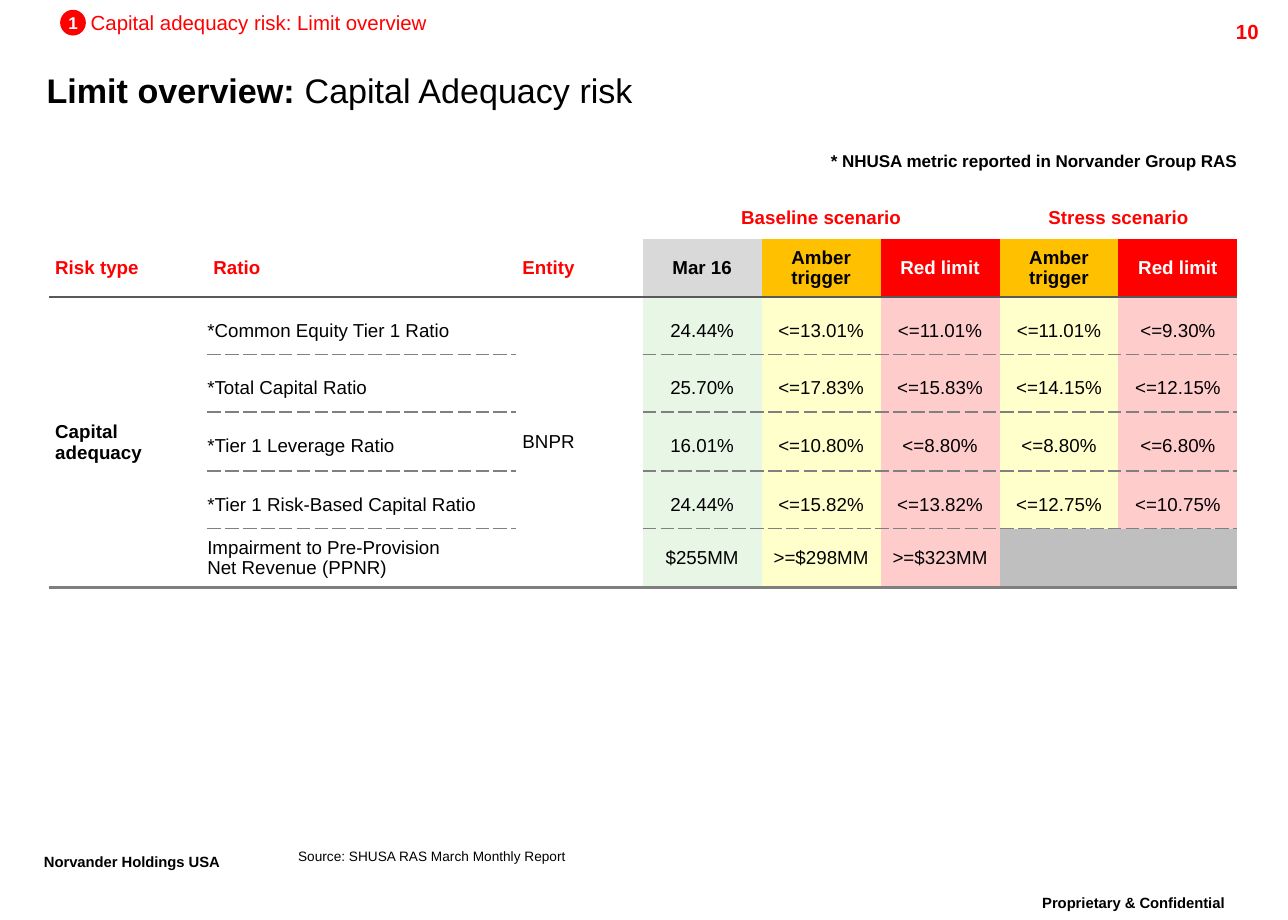
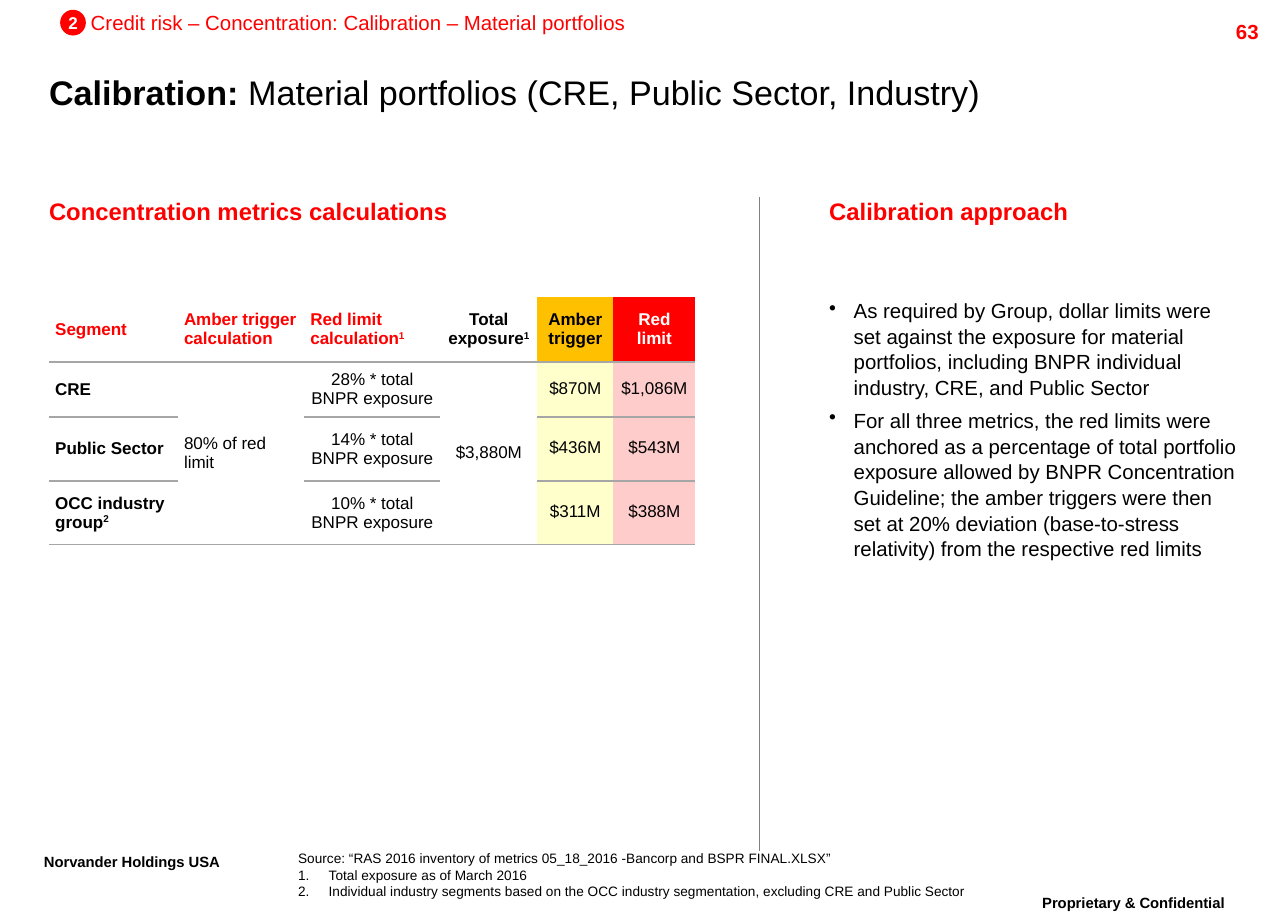
from dataclasses import dataclass, replace

from lxml import etree
from pptx import Presentation
from pptx.dml.color import RGBColor
from pptx.enum.shapes import MSO_CONNECTOR as Connector, MSO_SHAPE as Preset
from pptx.enum.text import MSO_ANCHOR as Anchor, MSO_AUTO_SIZE as AutoSize, PP_ALIGN as Align
from pptx.oxml.ns import qn
from pptx.util import Pt

PX = 9144
FONT = "Arial"
BLACK, WHITE, RED, AMBER = "000000", "FFFFFF", "FF0000", "FFC000"
PALE_GREEN, PALE_YELLOW, PALE_RED = "E8F6E6", "FFFFCC", "FFCCCC"
LIGHT_GREY, MID_GREY, RULE_GREY = "D9D9D9", "BFBFBF", "7F7F7F"
NO_STYLE = "{2D5ABB26-0587-4C30-8999-92F81FD0307C}"
FLUSH = (0, 0, 0, 0)
BOX_INSETS = (10, 5, 10, 5)


@dataclass(frozen=True)
class Cell:
    """Content and look of one table cell."""
    text: str = ""
    raised: str = ""
    fill: str = None
    color: str = BLACK
    bold: bool = False
    align: Align = Align.LEFT
    insets: tuple = (5, 5, 5, 5)
    pitch: Pt = None


@dataclass(frozen=True)
class Rule:
    """A horizontal line between table rows."""
    color: str
    width: float
    dash: str = "solid"


def rgb(value):
    """Turn a hex string into a colour."""
    return RGBColor.from_string(value)


def lengths(*values):
    """Turn px values into EMU."""
    return [value * PX for value in values]


def add_span(para, text, size, color=BLACK, bold=False, raise_by=0):
    """Add one formatted run to a paragraph."""
    span = para.add_run()
    span.text = text
    font = span.font
    font.name, font.size, font.bold = FONT, Pt(size), bold
    font.color.rgb = rgb(color)
    if raise_by:
        span._r.get_or_add_rPr().set("baseline", str(raise_by * 1000))


def set_frame(frame, insets=FLUSH, anchor=Anchor.TOP):
    """Set wrapping, insets and anchor of a text frame."""
    frame.word_wrap = True
    frame.auto_size = AutoSize.NONE
    frame.vertical_anchor = anchor
    (frame.margin_left, frame.margin_top,
     frame.margin_right, frame.margin_bottom) = lengths(*insets)


def add_text(page, box, text, size, color=BLACK, bold=False, align=Align.LEFT,
             insets=FLUSH, anchor=Anchor.TOP, spacing=None, raise_by=0):
    """Add a one-paragraph text box and return its frame."""
    frame = page.shapes.add_textbox(*lengths(*box)).text_frame
    set_frame(frame, insets, anchor)
    para = frame.paragraphs[0]
    para.alignment, para.line_spacing = align, spacing
    add_span(para, text, size, color, bold, raise_by)
    return frame


def set_bullet(para, indent, tag, **attributes):
    """Give a paragraph a hanging bullet or number."""
    properties = para._p.get_or_add_pPr()
    properties.set("marL", str(indent * PX))
    properties.set("indent", str(-indent * PX))
    etree.SubElement(properties, qn(tag), **attributes)


def add_bullets(page, box, items, size):
    """Add a bulleted list."""
    frame = page.shapes.add_textbox(*lengths(*box)).text_frame
    set_frame(frame)
    for index, item in enumerate(items):
        para = frame.add_paragraph() if index else frame.paragraphs[0]
        set_bullet(para, 20, "a:buChar", char="•")
        para.line_spacing = 1.05
        if index:
            para.space_before = Pt(4)
        add_span(para, item, size)


def add_source(page, box, source, notes=(), spacing=None):
    """Add the source line with its numbered notes."""
    frame = add_text(page, box, source, 8, anchor=Anchor.BOTTOM, spacing=spacing)
    for note in notes:
        para = frame.add_paragraph()
        set_bullet(para, 25, "a:buAutoNum", type="arabicPeriod")
        add_span(para, note, 8)


def add_divider(page, x, top, bottom):
    """Add a vertical grey line."""
    line = page.shapes.add_connector(Connector.STRAIGHT, *lengths(x, top, x, bottom))
    line.line.color.rgb = rgb(RULE_GREY)
    line.line.width = Pt(0.75)
    etree.SubElement(line._element.spPr, qn("a:effectLst"))


def add_badge(page, box, number):
    """Add a red numbered circle."""
    badge = page.shapes.add_shape(Preset.OVAL, *lengths(*box))
    badge.shadow.inherit = False
    badge.fill.solid()
    badge.fill.fore_color.rgb = rgb(RED)
    badge.line.fill.background()
    set_frame(badge.text_frame, anchor=Anchor.MIDDLE)
    badge.text_frame.word_wrap = False
    para = badge.text_frame.paragraphs[0]
    para.alignment = Align.CENTER
    add_span(para, number, 10, WHITE, True)


def set_border(cell, position, tag, rule):
    """Draw a rule along one side of a cell."""
    line = etree.Element(qn(tag), w=str(Pt(rule.width) if rule else 0))
    if rule:
        fill = etree.SubElement(line, qn("a:solidFill"))
        etree.SubElement(fill, qn("a:srgbClr"), val=rule.color)
        etree.SubElement(line, qn("a:prstDash"), val=rule.dash)
    else:
        etree.SubElement(line, qn("a:noFill"))
    cell._tc.get_or_add_tcPr().insert(position, line)


def fill_cell(cell, look, size):
    """Write and format one table cell."""
    cell.vertical_anchor = Anchor.MIDDLE
    (cell.margin_left, cell.margin_top,
     cell.margin_right, cell.margin_bottom) = lengths(*look.insets)
    if look.fill:
        cell.fill.solid()
        cell.fill.fore_color.rgb = rgb(look.fill)
    else:
        cell.fill.background()
    frame = cell.text_frame
    for index, text in enumerate(look.text.split("\n")):
        para = frame.add_paragraph() if index else frame.paragraphs[0]
        para.alignment, para.line_spacing = look.align, look.pitch
        if text:
            add_span(para, text, size, look.color, look.bold)
        else:
            etree.SubElement(para._p, qn("a:endParaRPr"), sz=str(size * 100))
    if look.raised:
        add_span(para, look.raised, size, look.color, look.bold, 30)


def add_grid(page, corner, widths, heights, looks, merges, rules, size):
    """Add a table whose rules lie above, between and below its rows."""
    frame = page.shapes.add_table(len(heights), len(widths),
                                  *lengths(*corner, sum(widths), sum(heights)))
    table = frame.table
    table.first_row = table.horz_banding = False
    table._tbl.tblPr.find(qn("a:tableStyleId")).text = NO_STYLE
    for column, width in zip(table.columns, widths):
        column.width = width * PX
    for row, height in zip(table.rows, heights):
        row.height = height * PX
    for first, last in merges:
        table.cell(*first).merge(table.cell(*last))
    for r, row in enumerate(looks):
        for c, look in enumerate(row):
            cell = table.cell(r, c)
            fill_cell(cell, look, size)
            depth = cell.span_height if cell.is_merge_origin else 1
            inside = cell.is_spanned and r + 1 < len(heights)
            set_border(cell, 0, "a:lnT", None if cell.is_spanned else rules[r])
            set_border(cell, 1, "a:lnB", None if inside else rules[r + depth])


def add_page(deck, number, badge, section, title_corner, lead, topic):
    """Add a slide with its title, section tag, page number and footers."""
    page = deck.slides.add_slide(deck.slide_layouts[5])
    title = page.shapes.title
    title.left, title.top, title.width, title.height = lengths(*title_corner, 948, 48)
    set_frame(title.text_frame, anchor=Anchor.MIDDLE)
    para = title.text_frame.paragraphs[0]
    para.alignment = Align.LEFT
    add_span(para, lead, 20, bold=True)
    add_span(para, topic, 20)
    footers = (((815, 725, 218, 35), "Proprietary & Confidential", Align.CENTER),
               ((26, 691, 191, 35), "Norvander Holdings USA", Align.LEFT))
    for box, text, align in footers:
        add_text(page, box, text, 15, bold=True, align=align, insets=BOX_INSETS,
                 spacing=0.86, raise_by=30)
    add_text(page, (936, 11, 100, 24), number, 12, RED, True, Align.RIGHT, BOX_INSETS)
    add_text(page, (74, 8, 600, 20), section, 12, RED)
    add_badge(page, (49, 8, 21, 21), badge)
    return page


def build_limits(deck):
    """Build the limit overview slide."""
    page = add_page(deck, "10", "1", "Capital adequacy risk: Limit overview",
                    (38, 49), "Limit overview: ", "Capital Adequacy risk")
    label = Cell(color=RED, bold=True)
    head = Cell(bold=True, align=Align.CENTER)
    scenario = replace(head, color=RED, fill=WHITE)
    amber = replace(head, text="Amber trigger", fill=AMBER)
    red = replace(head, text="Red limit", fill=RED, color=WHITE)
    looks = [
        [Cell()] * 3 + [replace(scenario, text="Baseline scenario")] + [Cell()] * 2
        + [replace(scenario, text="Stress scenario"), Cell()],
        [replace(label, text=text) for text in ("Risk type", "Ratio", "Entity")]
        + [replace(head, text="Mar 16", fill=LIGHT_GREY), amber, red, amber, red],
    ]
    ratios = [
        ("*Common Equity Tier 1 Ratio", "24.44%", "<=13.01%", "<=11.01%", "<=11.01%", "<=9.30%"),
        ("*Total Capital Ratio", "25.70%", "<=17.83%", "<=15.83%", "<=14.15%", "<=12.15%"),
        ("*Tier 1 Leverage Ratio", "16.01%", "<=10.80%", "<=8.80%", "<=8.80%", "<=6.80%"),
        ("*Tier 1 Risk-Based Capital Ratio", "24.44%", "<=15.82%", "<=13.82%", "<=12.75%",
         "<=10.75%"),
        ("Impairment to Pre-Provision\nNet Revenue (PPNR)", "$255MM", ">=$298MM", ">=$323MM",
         "", ""),
    ]
    tints = (PALE_GREEN, PALE_YELLOW, PALE_RED, PALE_YELLOW, PALE_RED)
    for index, (ratio, *values) in enumerate(ratios):
        insets = FLUSH if index == len(ratios) - 1 else (0, 8, 0, 0)
        looks.append([
            Cell("" if index else "Capital adequacy", bold=True),
            Cell(ratio, insets=insets),
            Cell("" if index else "BNPR"),
            *(Cell(value, fill=tint if value else MID_GREY, align=Align.CENTER, insets=insets)
              for value, tint in zip(values, tints)),
        ])
    merges = [((0, 3), (0, 5)), ((0, 6), (0, 7)), ((2, 0), (6, 0)), ((2, 2), (6, 2))]
    rules = [None, None, Rule("595959", 1.5), *[Rule("808080", 1, "sysDash")] * 4,
             Rule(RULE_GREY, 1.5)]
    add_grid(page, (40, 160), [129, 252, 103] + [97] * 5, [35, 47, 47, 47, 48, 47, 48],
             looks, merges, rules, 11)
    add_source(page, (243, 693, 555, 12), "Source: SHUSA RAS March Monthly Report", spacing=0.86)
    add_text(page, (618, 120, 400, 25), "* NHUSA metric reported in Norvander Group RAS", 10,
             bold=True, align=Align.RIGHT, insets=BOX_INSETS, spacing=0.86)


def build_calibration(deck):
    """Build the calibration slide."""
    page = add_page(deck, "63", "2",
                    "Credit risk – Concentration: Calibration – Material portfolios",
                    (40, 51), "Calibration: ",
                    "Material portfolios (CRE, Public Sector, Industry)")
    for left, width, heading in ((40, 450, "Concentration metrics calculations"),
                                 (676, 336, "Calibration approach")):
        add_text(page, (left, 160, width, 28), heading, 14, RED, True)
    add_bullets(page, (676, 242, 337, 208), (
        "As required by Group, dollar limits were set against the exposure for material "
        "portfolios, including BNPR individual industry, CRE, and Public Sector",
        "For all three metrics, the red limits were anchored as a percentage of total portfolio "
        "exposure allowed by BNPR Concentration Guideline; the amber triggers were then set at "
        "20% deviation (base-to-stress relativity) from the respective red limits"), 12)
    add_divider(page, 619, 161, 694)
    label = Cell(color=RED, bold=True, insets=(5, 2, 5, 2))
    name = replace(label, color=BLACK)
    head = replace(name, align=Align.CENTER)
    plain = replace(name, bold=False)
    centred = replace(head, bold=False)
    amount = replace(centred, pitch=Pt(10))
    looks = [[
        replace(label, text="Segment"),
        replace(label, text="Amber trigger calculation"),
        replace(label, text="Red limit calculation", raised="1"),
        replace(head, text="Total exposure", raised="1", fill=WHITE),
        replace(head, text="Amber trigger", fill=AMBER),
        replace(head, text="Red limit", fill=RED, color=WHITE),
    ]]
    segments = [("CRE", "", "28%", "$870M", "$1,086M"),
                ("Public Sector", "", "14%", "$436M", "$543M"),
                ("OCC industry group", "2", "10%", "$311M", "$388M")]
    for index, (segment, mark, share, trigger, limit) in enumerate(segments):
        looks.append([
            replace(name, text=segment, raised=mark),
            replace(plain, text="" if index else "80% of red limit"),
            replace(centred, text=f"{share} * total BNPR exposure"),
            replace(amount, text="" if index else "$3,880M", fill=WHITE),
            replace(amount, text=trigger, fill=PALE_YELLOW),
            replace(amount, text=limit, fill=PALE_RED),
        ])
    add_grid(page, (40, 242), [105, 103, 111, 79, 62, 67], [53, 45, 52, 52], looks,
             [((1, 1), (3, 1)), ((1, 3), (3, 3))], [None] + [Rule("A6A6A6", 1)] * 4, 10)
    add_source(page, (243, 693, 745, 40),
               "Source: “RAS 2016 inventory of metrics 05_18_2016 -Bancorp and BSPR FINAL.XLSX”",
               ("Total exposure as of March 2016",
                "Individual industry segments based on the OCC industry segmentation, "
                "excluding CRE and Public Sector"))


def main():
    """Build and save the deck."""
    deck = Presentation()
    deck.slide_width, deck.slide_height = lengths(1050, 750)
    build_limits(deck)
    build_calibration(deck)
    deck.save("out.pptx")


if __name__ == "__main__":
    main()
